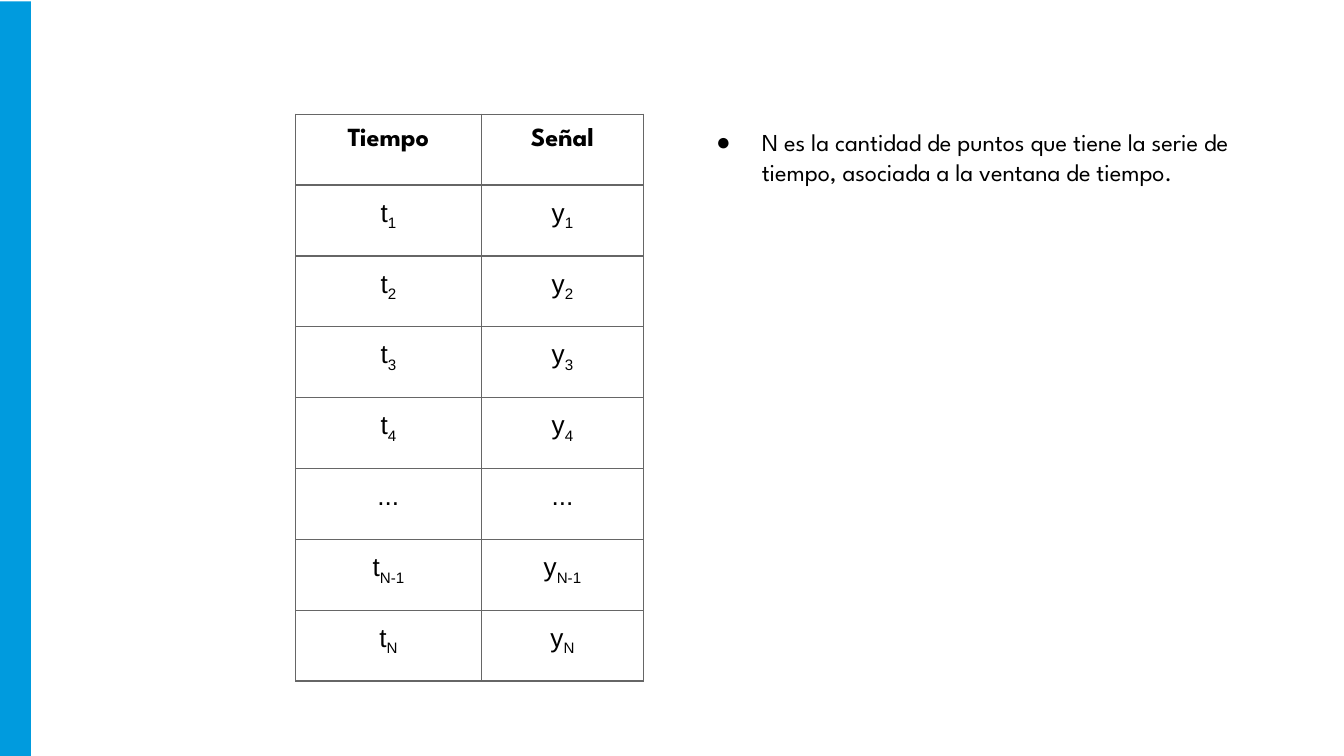
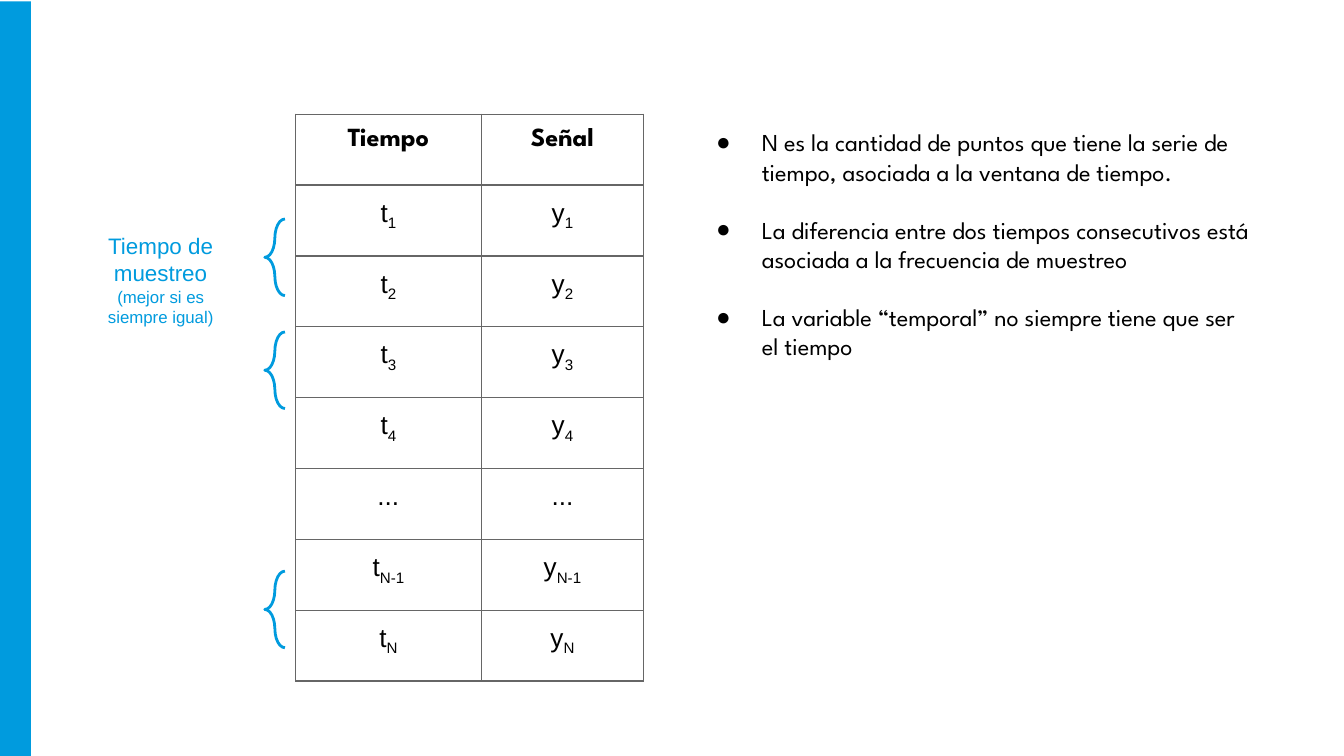
from lxml import etree
from pptx import Presentation
from pptx import util as u
from pptx.dml.color import RGBColor
from pptx.enum import shapes, text
from pptx.oxml.ns import qn

BLUE = RGBColor(0x00, 0x9B, 0xDE)
BLACK = RGBColor(0x00, 0x00, 0x00)
GREY = RGBColor(0x66, 0x66, 0x66)

SPARTAN, ARIAL = "League Spartan", "Arial"
HEADER = {"name": SPARTAN, "size": u.Pt(14), "bold": True}
CELL = {"name": ARIAL, "size": u.Pt(14), "bold": False}
BULLET = {"name": SPARTAN, "size": u.Pt(13)}
LABEL = {"name": ARIAL, "size": u.Pt(12)}
NOTE = {"name": ARIAL, "size": u.Pt(9)}

CENTER = text.PP_ALIGN.CENTER
TABLE_HEIGHT = 4.22
COLUMN_WIDTHS = (1.38, 1.21)
SUBSCRIPTS = ("1", "2", "3", "4", None, "N-1", "N")
POINTS = [
    "N es la cantidad de puntos que tiene la serie de tiempo, asociada a la ventana de tiempo.",
    "La diferencia entre dos tiempos consecutivos está asociada a la frecuencia de muestreo",
    "La variable “temporal” no siempre tiene que ser el tiempo",
]


class SlideBuilder:
    def __init__(self):
        self.deck = Presentation()
        self.deck.slide_width = u.Inches(10)
        self.deck.slide_height = u.Inches(10 * 9 / 16)
        self.page = None

    def new_page(self):
        self.page = self.deck.slides.add_slide(self.deck.slide_layouts[6])
        band = self.shape(shapes.MSO_SHAPE.RECTANGLE, 0, 0.01, 0.23, 5.62)
        band.fill.solid()
        band.fill.fore_color.rgb = BLUE
        band.line.fill.background()

    def shape(self, kind, *place):
        shape = self.page.shapes.add_shape(kind, *map(u.Inches, place))
        shape.shadow.inherit = False
        return shape

    def brace(self, *place):
        brace = self.shape(shapes.MSO_SHAPE.LEFT_BRACE, *place)
        brace.adjustments[0], brace.adjustments[1] = 1.17, 0.5
        brace.fill.background()
        brace.line.color.rgb = BLUE
        brace.line.width = u.Pt(1.5)

    def span(self, para, words, style, color=BLACK, subscript=False):
        span = para.add_run()
        span.text = words
        for name, value in style.items():
            setattr(span.font, name, value)
        span.font.color.rgb = color
        if subscript:
            span.font._element.set("baseline", "-25000")

    def text_box(self, *place):
        box = self.page.shapes.add_textbox(*map(u.Inches, place))
        frame = box.text_frame
        self.inset(frame)
        frame.word_wrap = True
        return frame

    def inset(self, holder):
        for side in ("left", "right", "top", "bottom"):
            setattr(holder, f"margin_{side}", u.Inches(0.1))

    def paragraphs(self, frame, count):
        return [frame.paragraphs[0]] + [frame.add_paragraph() for _ in range(count - 1)]

    def bullets(self, points, *place):
        frame = self.text_box(*place)
        for index, para in enumerate(self.paragraphs(frame, len(points))):
            props = para._p.get_or_add_pPr()
            props.set("marL", str(u.Inches(0.5)))
            props.set("indent", str(u.Inches(-0.34)))
            color = etree.SubElement(props, qn("a:buClr"))
            etree.SubElement(color, qn("a:srgbClr"), val=str(BLACK))
            etree.SubElement(props, qn("a:buFont"), typeface=ARIAL)
            etree.SubElement(props, qn("a:buChar"), char="●")
            if index:
                para.space_before = u.Pt(15.6)
            self.span(para, points[index], BULLET)

    def label(self, lines, *place):
        frame = self.text_box(*place)
        for para, (words, style) in zip(self.paragraphs(frame, len(lines)), lines):
            para.alignment = CENTER
            self.span(para, words, style, BLUE)

    def border(self, cell):
        props = cell._tc.get_or_add_tcPr()
        for side in ("lnL", "lnR", "lnT", "lnB"):
            line = etree.SubElement(props, qn(f"a:{side}"), w=str(u.Pt(0.75)))
            fill = etree.SubElement(line, qn("a:solidFill"))
            etree.SubElement(fill, qn("a:srgbClr"), val=str(GREY))
        cell.fill.background()

    def series_table(self, left, top):
        rows = len(SUBSCRIPTS) + 1
        table = self.page.shapes.add_table(
            rows, len(COLUMN_WIDTHS), u.Inches(left), u.Inches(top),
            u.Inches(sum(COLUMN_WIDTHS)), u.Inches(TABLE_HEIGHT)).table
        table.first_row = table.horz_banding = False
        for index, (title, symbol) in enumerate((("Tiempo", "t"), ("Señal", "y"))):
            table.columns[index].width = u.Inches(COLUMN_WIDTHS[index])
            for row in range(rows):
                cell = table.cell(row, index)
                self.inset(cell)
                self.border(cell)
                para = cell.text_frame.paragraphs[0]
                para.alignment = CENTER
                if row == 0:
                    self.span(para, title, HEADER)
                elif SUBSCRIPTS[row - 1] is None:
                    self.span(para, "...", CELL)
                else:
                    self.span(para, symbol, CELL)
                    self.span(para, SUBSCRIPTS[row - 1], CELL, subscript=True)


def main():
    builder = SlideBuilder()

    # Both slides: series table with its explanation
    for points in (POINTS[:1], POINTS):
        builder.new_page()
        builder.series_table(2.2, 0.85)
        builder.bullets(points, 5.07, 0.85, 4.35, 3.28)

    # Second slide: sampling time between consecutive rows
    builder.label([("Tiempo de muestreo", LABEL), ("(mejor si es siempre igual)", NOTE)],
                  0.65, 1.63, 1.09, 1.2)
    for top in (1.63, 2.47, 4.25):
        builder.brace(1.97, top, 0.15, 0.57)

    builder.deck.save("out.pptx")


if __name__ == "__main__":
    main()
